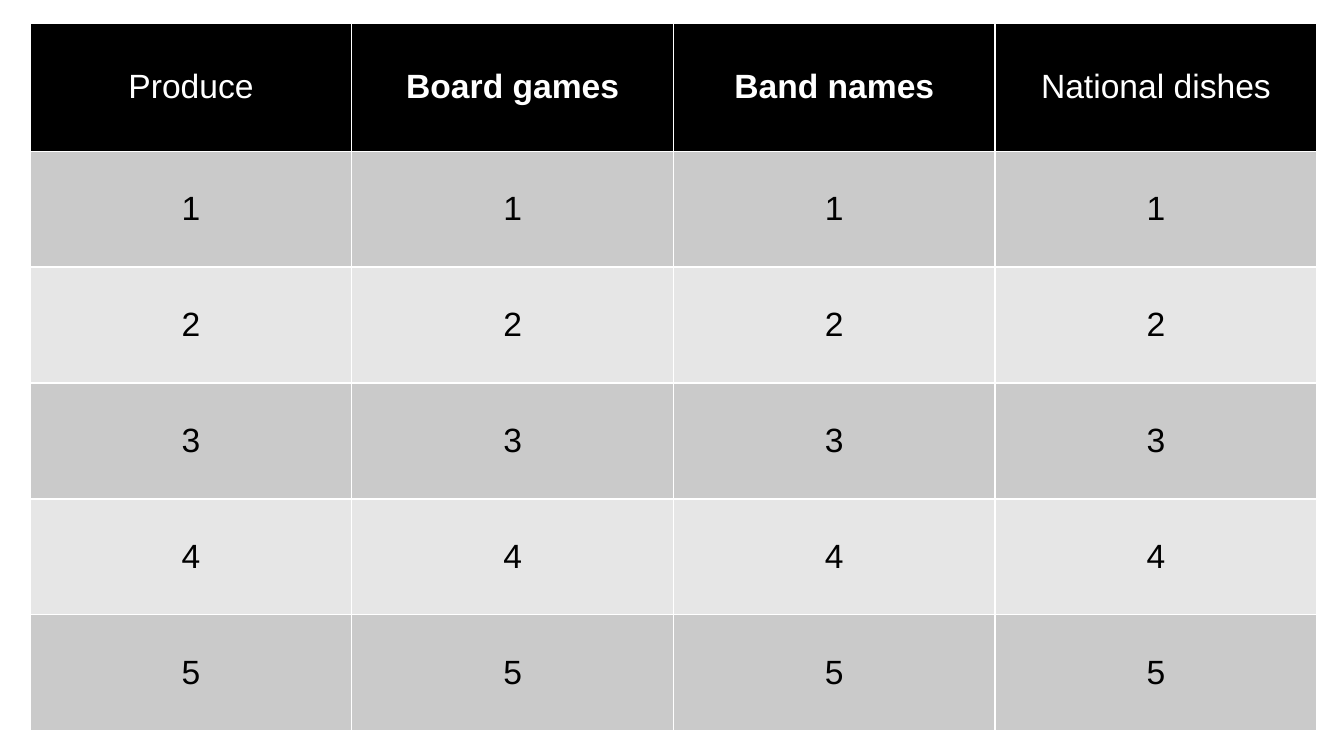
from lxml import etree
from pptx import Presentation
from pptx.dml.color import RGBColor
from pptx.enum import text
from pptx.oxml import ns
from pptx.util import Inches, Pt

BLACK = RGBColor(0x00, 0x00, 0x00)
WHITE = RGBColor(0xFF, 0xFF, 0xFF)
DARK = RGBColor(0xCA, 0xCA, 0xCA)
LIGHT = RGBColor(0xE6, 0xE6, 0xE6)

heads = ["Produce", "Board games", "Band names", "National dishes"]
bold = ["Board games", "Band names"]
rows = [heads] + [[str(n)] * len(heads) for n in range(1, 6)]


def edge(cell, side):
    line = etree.SubElement(cell._tc.get_or_add_tcPr(), ns.qn("a:" + side), w=str(Pt(1)))
    fill = etree.SubElement(line, ns.qn("a:solidFill"))
    etree.SubElement(fill, ns.qn("a:srgbClr"), val=str(WHITE))


deck = Presentation()
deck.slide_width = Inches(13.33)
deck.slide_height = Inches(7.5)
slide = deck.slides.add_slide(deck.slide_layouts[6])

frame = slide.shapes.add_table(
    len(rows), len(heads), Inches(0.3), Inches(0.23), Inches(12.76), Inches(7.02))
table = frame.table
for col in table.columns:
    col.width = Inches(3.19)

for r, words in enumerate(rows):
    table.rows[r].height = Inches(1.15 if r else 1.27)
    for c, word in enumerate(words):
        cell = table.cell(r, c)
        for side in ("lnL", "lnR", "lnT", "lnB"):
            edge(cell, side)
        cell.fill.solid()
        cell.fill.fore_color.rgb = BLACK if r == 0 else DARK if r % 2 else LIGHT
        cell.vertical_anchor = text.MSO_ANCHOR.MIDDLE
        para = cell.text_frame.paragraphs[0]
        para.alignment = text.PP_ALIGN.CENTER
        run = para.add_run()
        run.text = word
        run.font.name = "Arial"
        run.font.size = Pt(24)
        run.font.bold = word in bold
        run.font.color.rgb = BLACK if r else WHITE

deck.save("out.pptx")
